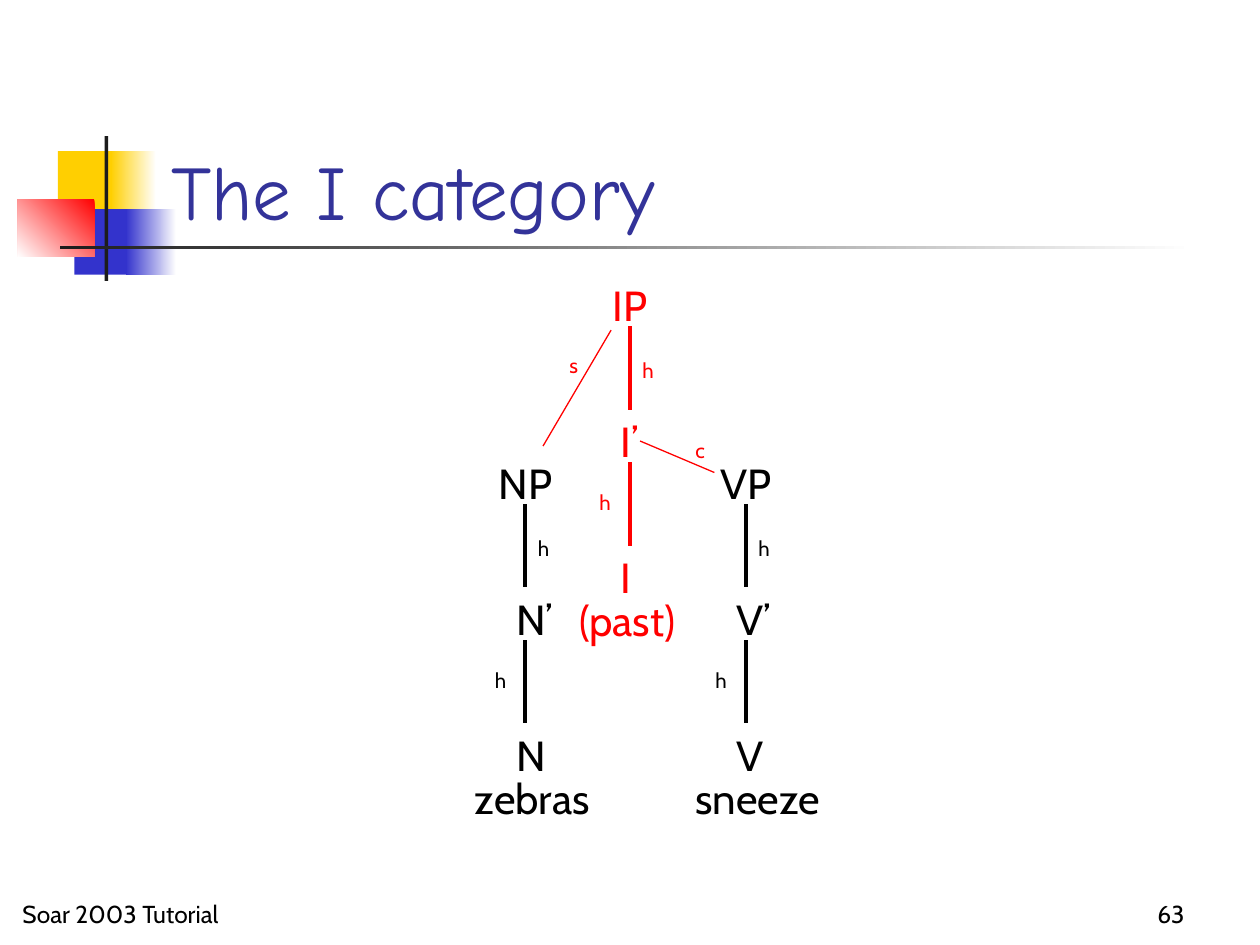
"""Build the slide showing the syntax tree of the I category."""
from dataclasses import dataclass

from lxml.etree import SubElement
from pptx import Presentation
from pptx.dml.color import RGBColor
from pptx.enum.shapes import MSO_CONNECTOR, MSO_SHAPE
from pptx.enum.text import MSO_ANCHOR, PP_ALIGN
from pptx.oxml.ns import qn
from pptx.slide import Slide
from pptx.util import Inches, Pt

RECTANGLE = MSO_SHAPE.RECTANGLE
STRAIGHT = MSO_CONNECTOR.STRAIGHT
TOP, MIDDLE, BOTTOM = MSO_ANCHOR.TOP, MSO_ANCHOR.MIDDLE, MSO_ANCHOR.BOTTOM
LEFT, CENTER, RIGHT = PP_ALIGN.LEFT, PP_ALIGN.CENTER, PP_ALIGN.RIGHT

BLACK = RGBColor(0x00, 0x00, 0x00)
WHITE = RGBColor(0xFF, 0xFF, 0xFF)
RED = RGBColor(0xFF, 0x00, 0x00)
YELLOW = RGBColor(0xFF, 0xCF, 0x01)
BLUE = RGBColor(0x33, 0x33, 0xCC)
CHARCOAL = RGBColor(0x1C, 0x1C, 0x1C)
TITLE_BLUE = RGBColor(0x33, 0x33, 0x99)

BODY_FONT = "Cabin"
TITLE_FONT = "Comic Neue"
NODE_SIZE, LABEL_SIZE, FOOTER_SIZE, TITLE_SIZE = 24, 12, 14, 44
LEVEL_GAP = 1.08


@dataclass(frozen=True)
class Block:
    left: float
    top: float
    width: float
    height: float
    colors: tuple[RGBColor, ...]
    angle: int = 180


@dataclass(frozen=True)
class Text:
    text: str
    left: float
    top: float
    width: float
    height: float
    size: int
    color: RGBColor = BLACK
    font: str = BODY_FONT
    anchor: MSO_ANCHOR = TOP
    align: PP_ALIGN = LEFT
    side_margin: float = 0.1


@dataclass(frozen=True)
class Branch:
    start: tuple[float, float]
    end: tuple[float, float]
    color: RGBColor
    width: float


@dataclass(frozen=True)
class Tree:
    category: str
    word: str
    axis: float
    top: float
    color: RGBColor


BLOCKS = (
    Block(0.46, 1.2, 0.48, 0.52, (YELLOW,)),
    Block(0.88, 1.2, 0.36, 0.52, (WHITE, YELLOW)),
    Block(0.59, 1.66, 0.46, 0.52, (BLUE,)),
    Block(1, 1.66, 0.4, 0.52, (WHITE, BLUE)),
    Block(0.14, 1.58, 0.61, 0.46, (RED, WHITE), 225),
    Block(0.83, 1.08, 0.03, 1.15, (CHARCOAL,)),
    Block(0.48, 1.95, 9, 0.03, (WHITE, CHARCOAL)),
)
TREES = (
    Tree("N", "zebras", 4.17, 3.58, BLACK),
    Tree("V", "sneeze", 5.92, 3.58, BLACK),
    Tree("I", "(past)", 5, 2.17, RED),
)
CROSS_BRANCHES = (
    Branch((5.08, 3.5), (5.67, 3.75), RED, 0.75),
    Branch((4.85, 2.62), (4.31, 3.54), RED, 0.75),
)
TEXTS = (
    Text("The I category", 1.26, 0.67, 8.52, 1.25, TITLE_SIZE, TITLE_BLUE, TITLE_FONT, BOTTOM),
    Text("s", 4.42, 2.75, 0.25, 0.3, LABEL_SIZE, RED),
    Text("c", 5.42, 3.42, 0.25, 0.3, LABEL_SIZE, RED),
    Text("63", 7.42, 6.92, 2.08, 0.5, FOOTER_SIZE, anchor=BOTTOM, align=RIGHT),
    Text("Soar 2003 Tutorial", 0.08, 6.92, 2.08, 0.5, FOOTER_SIZE, anchor=BOTTOM),
)


def draw_block(slide: Slide, block: Block) -> None:
    shape = slide.shapes.add_shape(
        RECTANGLE, Inches(block.left), Inches(block.top), Inches(block.width), Inches(block.height)
    )
    shape.shadow.inherit = False
    shape.line.fill.background()
    if len(block.colors) == 1:
        shape.fill.solid()
        shape.fill.fore_color.rgb = block.colors[0]
        return
    shape.fill.gradient()
    shape.fill.gradient_angle = block.angle
    for stop, color in zip(shape.fill.gradient_stops, block.colors):
        stop.color.rgb = color


def draw_text(slide: Slide, item: Text) -> None:
    shape = slide.shapes.add_textbox(
        Inches(item.left), Inches(item.top), Inches(item.width), Inches(item.height)
    )
    text_frame = shape.text_frame
    text_frame.text = item.text
    text_frame.word_wrap = True
    text_frame.margin_left = text_frame.margin_right = Inches(item.side_margin)
    text_frame.vertical_anchor = item.anchor
    paragraph = text_frame.paragraphs[0]
    paragraph.alignment = item.align
    font = paragraph.runs[0].font
    font.name = item.font
    font.size = Pt(item.size)
    font.color.rgb = item.color


def draw_branch(slide: Slide, branch: Branch) -> None:
    points = [Inches(value) for value in branch.start + branch.end]
    connector = slide.shapes.add_connector(STRAIGHT, *points)
    connector.line.color.rgb = branch.color
    connector.line.width = Pt(branch.width)
    SubElement(connector._element.spPr, qn("a:effectLst"))


def draw_tree(slide: Slide, tree: Tree) -> None:
    axis, top, color = tree.axis, tree.top, tree.color
    draw_text(slide, Text(f"{tree.category}P", axis - 0.29, top, 0.58, 0.5, NODE_SIZE, color,
                          anchor=MIDDLE, align=CENTER, side_margin=0))
    levels = ((f"{tree.category}’", 0.58, axis, 0.62), (tree.category, 0.67, axis - 0.34, 1.67))
    for level, (name, width, label_left, label_drop) in enumerate(levels):
        parent_top = top + level * LEVEL_GAP
        node_top = parent_top + LEVEL_GAP
        draw_text(slide, Text(name, axis - 0.17, node_top, width, 0.5, NODE_SIZE, color))
        draw_branch(slide, Branch((axis, parent_top + 0.42), (axis, node_top), color, 2.25))
        draw_text(slide, Text("h", label_left, top + label_drop, 0.33, 0.3, LABEL_SIZE, color))
    draw_text(slide, Text(tree.word, axis - 0.5, top + 2.5, 1.42, 0.5, NODE_SIZE, color))


def main() -> None:
    presentation = Presentation()
    presentation.slide_width = Inches(10)
    presentation.slide_height = Inches(7.5)
    slide = presentation.slides.add_slide(presentation.slide_layouts[6])
    for block in BLOCKS:
        draw_block(slide, block)
    for tree in TREES:
        draw_tree(slide, tree)
    for branch in CROSS_BRANCHES:
        draw_branch(slide, branch)
    for item in TEXTS:
        draw_text(slide, item)
    presentation.save("out.pptx")


if __name__ == "__main__":
    main()
